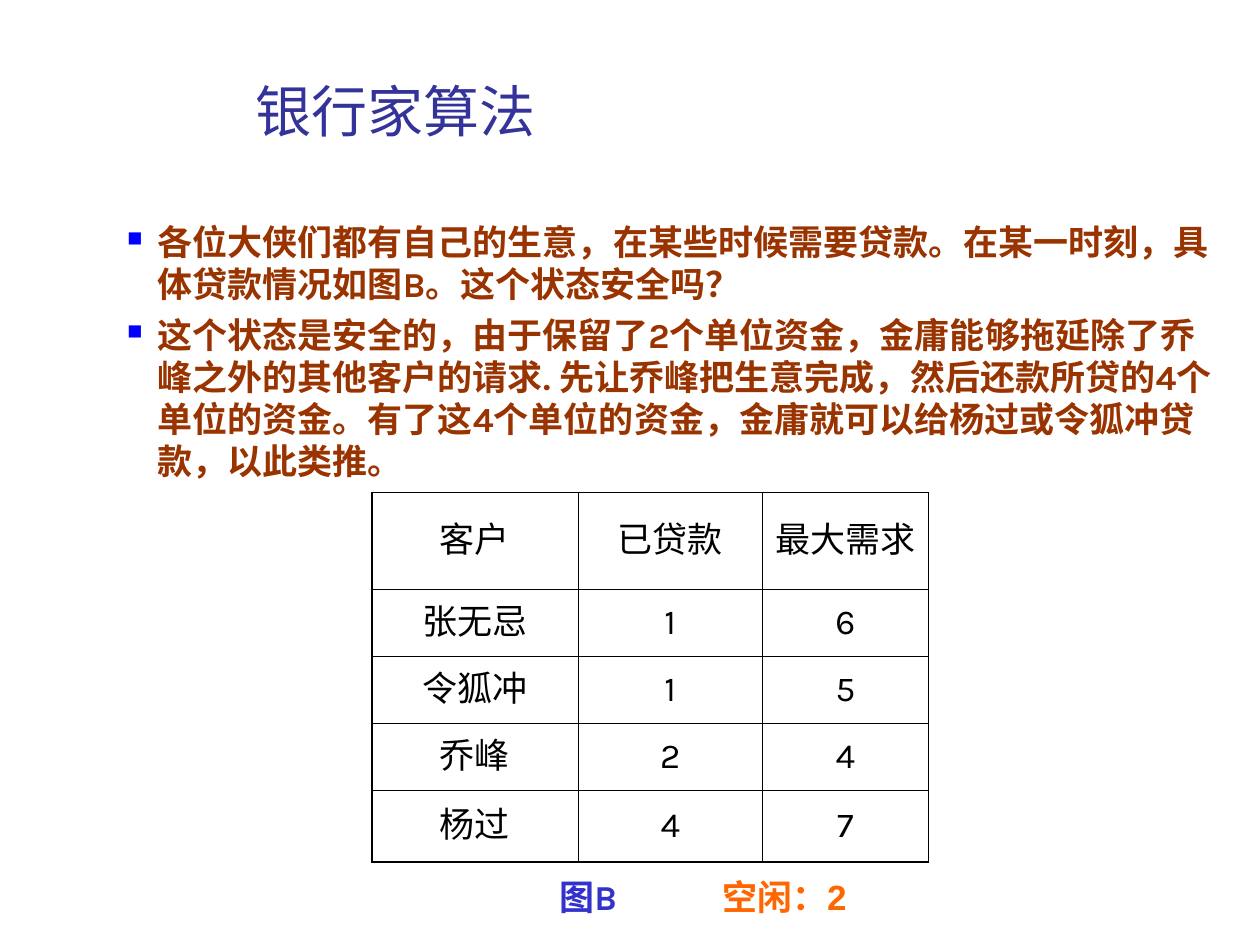
import enum

import lxml.etree
import pptx
import pptx.dml.color
import pptx.enum.text
import pptx.oxml.ns
import pptx.util

Inches = pptx.util.Inches
Align = pptx.enum.text.PP_ALIGN
Anchor = pptx.enum.text.MSO_ANCHOR
qn = pptx.oxml.ns.qn


class Theme(enum.Enum):
    TITLE = ("Noto Sans CJK SC", 32, "333399", False)
    BODY = ("Karla", 20, "993300", True)
    CELL = ("Karla", 20, "000000", False)
    FIGURE = ("Karla", 20, "3333CC", True)
    IDLE = ("Arial", 20, "FF6600", True)
    BULLET = "0000FF"
    BORDER = "000000"
    OUTER_LINE = 1.08
    INNER_LINE = 0.45


def add_span(para, text, style):
    face, size, color, bold = style.value
    span = para.add_run()
    span.text = text
    span.font.name = face
    span.font.size = pptx.util.Pt(size)
    span.font.bold = bold
    span.font.color.rgb = pptx.dml.color.RGBColor.from_string(color)
    lxml.etree.SubElement(span.font._element, qn("a:ea"), typeface=face)


def add_box(left, top, width, height, wrap=True, anchor=Anchor.TOP):
    box = page.shapes.add_textbox(Inches(left), Inches(top), Inches(width), Inches(height))
    box.text_frame.word_wrap = wrap
    box.text_frame.vertical_anchor = anchor
    return box.text_frame


deck = pptx.Presentation()
deck.slide_width = Inches(10)
deck.slide_height = Inches(7.5)
page = deck.slides.add_slide(deck.slide_layouts[6])

columns = [1.64, 1.46, 1.32]
heights = [0.77, 0.53, 0.53, 0.53, 0.57]
loans = [
    ("客户", "已贷款", "最大需求"),
    ("张无忌", "1", "6"),
    ("令狐冲", "1", "5"),
    ("乔峰", "2", "4"),
    ("杨过", "4", "7"),
]
table = page.shapes.add_table(
    len(loans), len(columns), Inches(2.95), Inches(3.91), Inches(sum(columns)), Inches(sum(heights))
).table
table.first_row = False
table.horz_banding = False
for column, width in zip(table.columns, columns):
    column.width = Inches(width)
for row_index, (row, height) in enumerate(zip(loans, heights)):
    table.rows[row_index].height = Inches(height)
    for column_index, text in enumerate(row):
        cell = table.cell(row_index, column_index)
        cell.vertical_anchor = Anchor.MIDDLE
        para = cell.text_frame.paragraphs[0]
        para.alignment = Align.CENTER
        add_span(para, text, Theme.CELL)
        outer_sides = {
            "a:lnL": column_index == 0,
            "a:lnR": column_index == len(columns) - 1,
            "a:lnT": row_index == 0,
            "a:lnB": row_index == len(loans) - 1,
        }
        properties = cell._tc.get_or_add_tcPr()
        for side, outer in outer_sides.items():
            weight = Theme.OUTER_LINE if outer else Theme.INNER_LINE
            line = lxml.etree.SubElement(properties, qn(side), w=str(pptx.util.Pt(weight.value)))
            fill = lxml.etree.SubElement(line, qn("a:solidFill"))
            lxml.etree.SubElement(fill, qn("a:srgbClr"), val=Theme.BORDER.value)
        cell.fill.background()

points = [
    "各位大侠们都有自己的生意，在某些时候需要贷款。在某一时刻，具体贷款情况如图B。这个状态安全吗？",
    "这个状态是安全的，由于保留了2个单位资金，金庸能够拖延除了乔峰之外的其他客户的请求. "
    "先让乔峰把生意完成，然后还款所贷的4个单位的资金。有了这4个单位的资金，"
    "金庸就可以给杨过或令狐冲贷款，以此类推。",
]
body = add_box(0.91, 1.7, 8.82, 2.21)
for index, text in enumerate(points):
    para = body.add_paragraph() if index else body.paragraphs[0]
    if index:
        para.space_before = pptx.util.Pt(5)
    properties = para._p.get_or_add_pPr()
    properties.set("marL", str(Inches(0.24)))
    properties.set("indent", str(Inches(-0.24)))
    bullet_color = lxml.etree.SubElement(properties, qn("a:buClr"))
    lxml.etree.SubElement(bullet_color, qn("a:srgbClr"), val=Theme.BULLET.value)
    lxml.etree.SubElement(properties, qn("a:buSzPct"), val="60000")
    lxml.etree.SubElement(properties, qn("a:buChar"), char="■")
    add_span(para, text, Theme.BODY)

title = add_box(1.93, 0.52, 6.38, 0.67, anchor=Anchor.BOTTOM)
add_span(title.paragraphs[0], "银行家算法", Theme.TITLE)

idle = add_box(5.32, 6.9, 1.81, 0.44)
idle.paragraphs[0].alignment = Align.CENTER
add_span(idle.paragraphs[0], "空闲：2", Theme.IDLE)

figure = add_box(4.34, 6.9, 0.73, 0.44, wrap=False)
add_span(figure.paragraphs[0], "图B", Theme.FIGURE)

deck.save("out.pptx")
